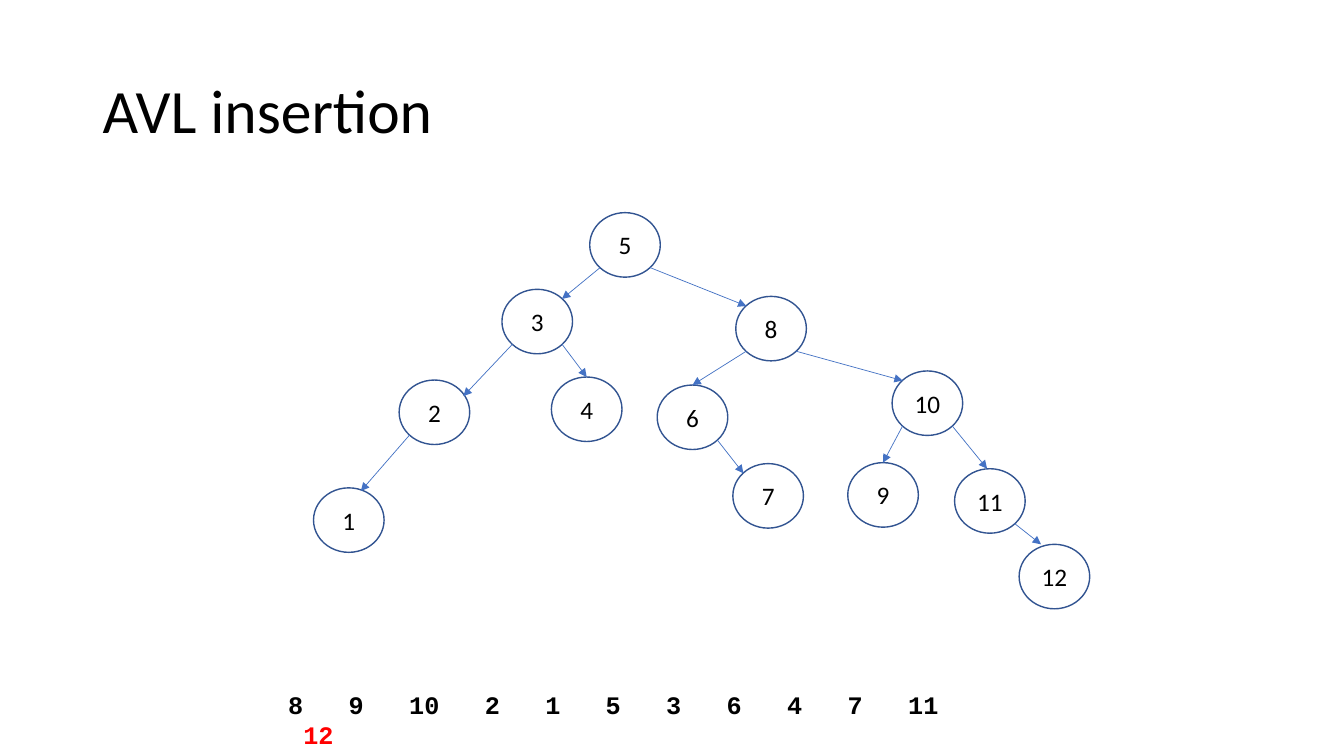
from dataclasses import dataclass

from lxml.etree import SubElement
from pptx import Presentation
from pptx.dml.color import RGBColor
from pptx.enum.shapes import MSO_CONNECTOR, MSO_SHAPE
from pptx.enum.text import MSO_ANCHOR, PP_ALIGN
from pptx.oxml.ns import qn
from pptx.slide import Slide
from pptx.text.text import TextFrame, _Paragraph
from pptx.util import Emu, Inches, Pt

SLIDE_WIDTH, SLIDE_HEIGHT = Inches(13.33), Inches(7.5)
NODE_WIDTH, NODE_HEIGHT = 5.25, 8.53  # percent of the slide
NEAR, FAR = 0.15, 0.85  # where an ellipse meets its box's diagonals
TOP, TOP_LEFT, TOP_RIGHT = (0.5, 0), (NEAR, NEAR), (FAR, NEAR)

BLACK, RED, OUTLINE, ARROW = "000000", "FF0000", "325491", "4472C4"
INSERTED = ["8", "9", "10", "2", "1", "5", "3", "6", "4", "7", "11"]
LATEST = "12"
CHARACTER_WIDTH = 0.15  # inches, Courier New at 18 points
GAP = 3  # characters between two keys


@dataclass
class Node:
    """A tree node: left and top in percent, tip as shares of its own box."""
    key: str
    left: float
    top: float
    parent: str = ""
    tip: tuple[float, float] = TOP

    def point(self, across: float, down: float) -> tuple[Emu, Emu]:
        return (horizontal(self.left + across * NODE_WIDTH),
                vertical(self.top + down * NODE_HEIGHT))


TREE = [
    Node("5", 43.88, 28.13),
    Node("3", 37.35, 38.27, "5", TOP_RIGHT),
    Node("8", 54.75, 39.2, "5", TOP_LEFT),
    Node("2", 29.7, 50.27, "3", (0.91, 0.25)),
    Node("4", 41.03, 49.87, "3"),
    Node("6", 48.9, 50.93, "8"),
    Node("10", 66.38, 49.07, "8", TOP_LEFT),
    Node("1", 23.33, 64.53, "2", (0.67, 0.05)),
    Node("7", 54.53, 61.33, "6", TOP_LEFT),
    Node("9", 63.08, 61.2, "10"),
    Node("11", 71.03, 62, "10", (0.46, 0)),
    Node("12", 75.83, 72, "11", (0.31, 0)),
]


def horizontal(percent: float) -> Emu:
    return Emu(round(SLIDE_WIDTH * percent / 100))


def vertical(percent: float) -> Emu:
    return Emu(round(SLIDE_HEIGHT * percent / 100))


def color(value: str) -> RGBColor:
    return RGBColor.from_string(value)


def style(paragraph: _Paragraph, size: float, name: str = "Calibri",
          fill: str = BLACK, bold: bool = False) -> None:
    font = paragraph.font
    font.size, font.name, font.bold = Pt(size), name, bold
    font.color.rgb = color(fill)


def add_text_box(slide: Slide, left: float, top: float,
                 width: float, height: float) -> TextFrame:
    frame = slide.shapes.add_textbox(horizontal(left), vertical(top),
                                     horizontal(width), vertical(height)).text_frame
    frame.word_wrap = True
    return frame


def add_title(slide: Slide) -> None:
    frame = add_text_box(slide, 6.9, 5.33, 86.25, 19.33)
    frame.vertical_anchor = MSO_ANCHOR.MIDDLE
    paragraph = frame.paragraphs[0]
    paragraph.text = "AVL insertion"
    paragraph.line_spacing = 0.9
    style(paragraph, 44)


def add_sequence(slide: Slide) -> None:
    """List the inserted keys at tab stops, the latest key on its own line."""
    frame = add_text_box(slide, 20.7, 90.53, 51.08, 5.33)
    earlier, latest = frame.paragraphs[0], frame.add_paragraph()
    earlier.text, latest.text = "\t".join(INSERTED), LATEST

    tab_list = SubElement(earlier._p.get_or_add_pPr(), qn("a:tabLst"))
    characters = 0
    for key in INSERTED[:-1]:
        characters += len(key) + GAP
        SubElement(tab_list, qn("a:tab"), algn="l",
                   pos=str(Inches(characters * CHARACTER_WIDTH)))
    latest._p.get_or_add_pPr().set("marL", str(Inches(CHARACTER_WIDTH)))

    style(earlier, 18, "Courier New", bold=True)
    style(latest, 18, "Courier New", RED, bold=True)


def add_node(slide: Slide, node: Node) -> None:
    shape = slide.shapes.add_shape(MSO_SHAPE.OVAL, *node.point(0, 0),
                                   horizontal(NODE_WIDTH), vertical(NODE_HEIGHT))
    shape.shadow.inherit = False
    shape.fill.background()
    shape.line.color.rgb = color(OUTLINE)
    shape.line.width = Pt(1)
    shape.text_frame.vertical_anchor = MSO_ANCHOR.MIDDLE
    paragraph = shape.text_frame.paragraphs[0]
    paragraph.text = node.key
    paragraph.alignment = PP_ALIGN.CENTER
    style(paragraph, 18)


def add_arrow(slide: Slide, parent: Node, child: Node) -> None:
    side = NEAR if child.left < parent.left else FAR
    connector = slide.shapes.add_connector(
        MSO_CONNECTOR.STRAIGHT, *parent.point(side, FAR), *child.point(*child.tip))
    connector.line.color.rgb = color(ARROW)
    connector.line.width = Pt(0.5)
    SubElement(connector.line._get_or_add_ln(), qn("a:tailEnd"), type="triangle")
    SubElement(connector._element.spPr, qn("a:effectLst"))


def main() -> None:
    presentation = Presentation()
    presentation.slide_width, presentation.slide_height = SLIDE_WIDTH, SLIDE_HEIGHT
    slide = presentation.slides.add_slide(presentation.slide_layouts[6])
    add_title(slide)
    add_sequence(slide)
    nodes = {node.key: node for node in TREE}
    for node in TREE:
        add_node(slide, node)
        if node.parent:
            add_arrow(slide, nodes[node.parent], node)
    presentation.save("out.pptx")


if __name__ == "__main__":
    main()
